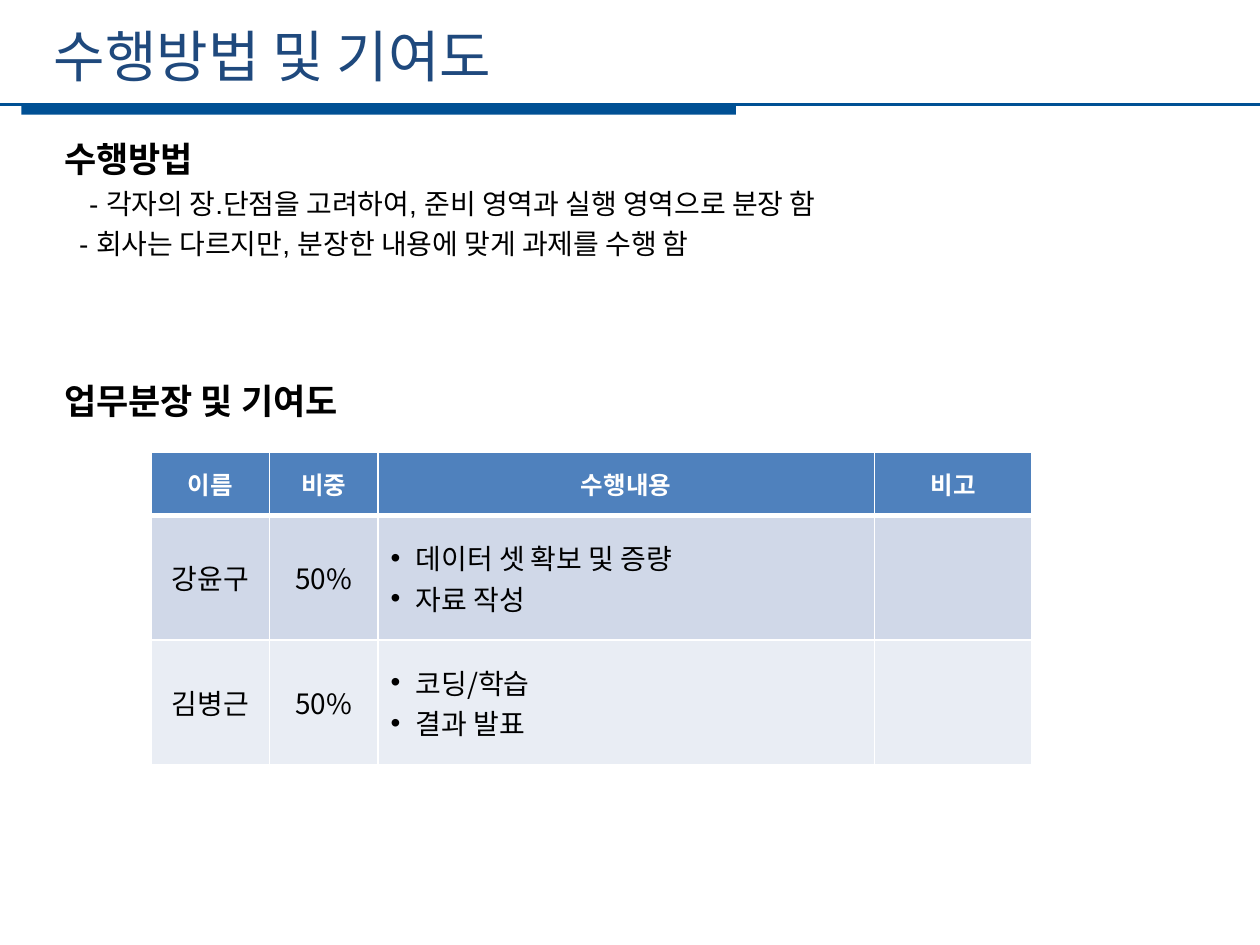
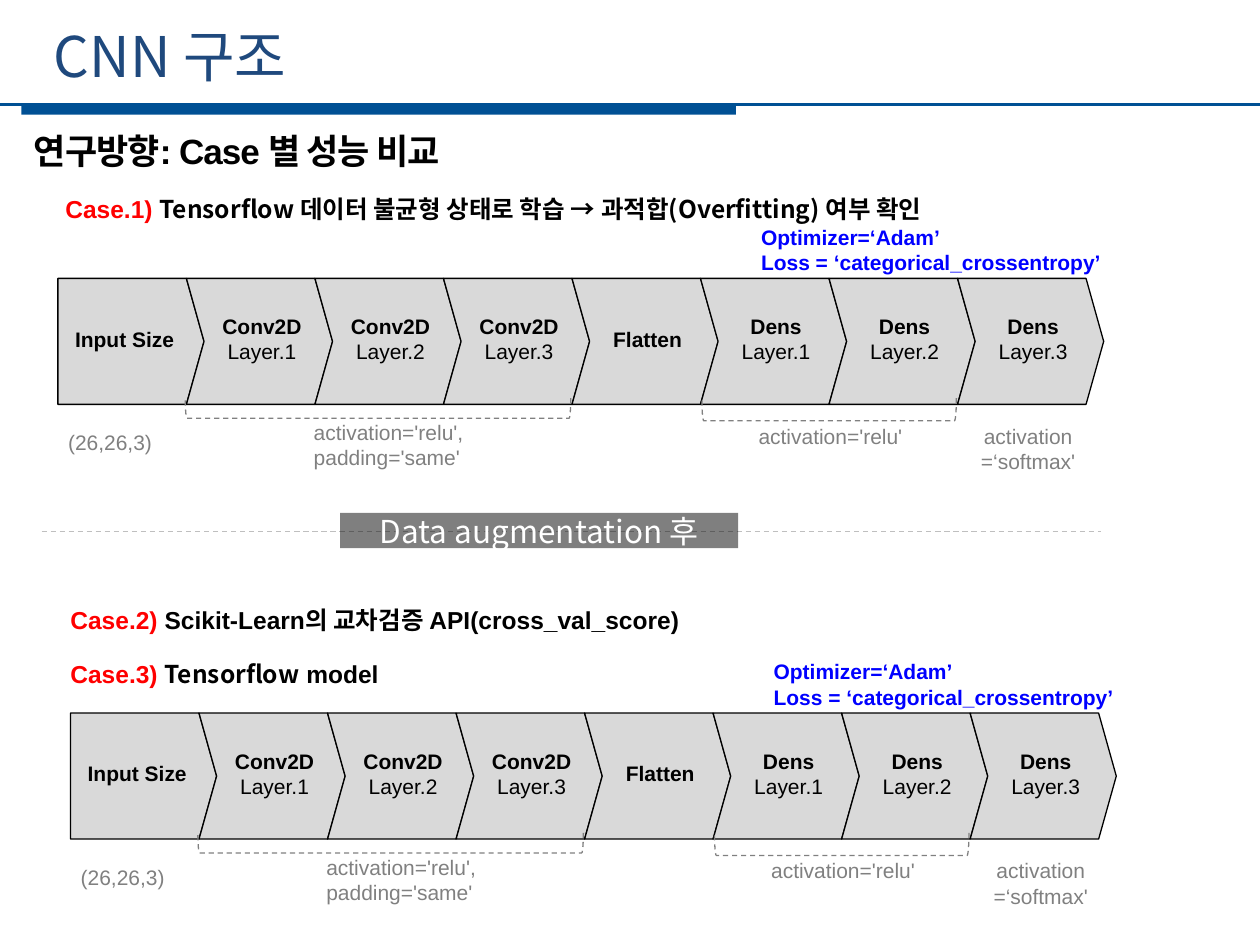
from lxml import etree
from pptx import Presentation
from pptx.dml.color import RGBColor
from pptx.enum.dml import MSO_LINE
from pptx.enum.shapes import MSO_CONNECTOR, MSO_SHAPE
from pptx.enum.text import MSO_ANCHOR, PP_ALIGN
from pptx.oxml import parse_xml
from pptx.oxml.ns import nsdecls, qn
from pptx.util import Inches, Pt

CENTER = PP_ALIGN.CENTER
MIDDLE = MSO_ANCHOR.MIDDLE
DASH = MSO_LINE.DASH
STRAIGHT = MSO_CONNECTOR.STRAIGHT
RECTANGLE = MSO_SHAPE.RECTANGLE
BRACKET = MSO_SHAPE.RIGHT_BRACKET

LATIN = "Arial"
KOREAN = "Noto Sans CJK KR"
HEX = {
    "band": "005094", "title": "1F497D", "text": "000000", "white": "FFFFFF",
    "header": "4F81BD", "odd": "D0D8E8", "even": "E9EDF4",
    "layer": "D9D9D9", "note": "808080", "case": "FF0000", "option": "0000FF",
    "divider": "BFBFBF",
}
COLOR = {name: RGBColor.from_string(value) for name, value in HEX.items()}

# Text formats
TITLE = {"size": Pt(32), "name": KOREAN, "color": "title"}
HEADING = {"size": Pt(20), "name": LATIN, "color": "text", "bold": True}
BODY = {"size": Pt(16), "name": LATIN, "color": "text"}
CASE = {"size": Pt(14), "name": LATIN, "color": "case", "bold": True}
CASE_LATIN = {**CASE, "color": "text"}
CASE_KOREAN = {**CASE_LATIN, "name": KOREAN}
NOTE = {"size": Pt(12), "name": LATIN, "color": "note"}
OPTION = {**NOTE, "color": "option", "bold": True}
LAYER_KIND = {**NOTE, "color": "text", "bold": True}
LAYER_NUMBER = {**NOTE, "color": "text"}
HEADER_CELL = {"size": Pt(14), "name": KOREAN, "color": "white", "bold": True}
BODY_CELL = {"size": Pt(16), "name": KOREAN, "color": "text", "bold": False}
DIVIDER = {"size": Pt(18), "name": KOREAN, "color": "white"}


def write(frame, lines, **paragraph_format):
    """Fill a text frame; each line is a list of (text, format) spans."""
    for index, spans in enumerate(lines):
        para = frame.paragraphs[0] if index == 0 else frame.add_paragraph()
        for name, value in paragraph_format.items():
            setattr(para, name, value)
        for text, text_format in spans:
            span = para.add_run()
            span.text = text
            for name, value in text_format.items():
                if name == "color":
                    span.font.color.rgb = COLOR[value]
                else:
                    setattr(span.font, name, value)
            east_asian = etree.SubElement(span.font._element, qn("a:ea"))
            east_asian.set("typeface", KOREAN)


def add_text(page, at, lines, inset=None, **paragraph_format):
    box = page.shapes.add_textbox(*map(Inches, at))
    frame = box.text_frame
    frame.word_wrap = True
    if inset is not None:
        for side in ("left", "top", "right", "bottom"):
            setattr(frame, f"margin_{side}", Inches(inset))
    write(frame, lines, **paragraph_format)
    return frame


deck = Presentation()
deck.slide_width, deck.slide_height = Inches(10), Inches(7.5)

# Shared title, band and rule
pages = []
for title in ("수행방법 및 기여도", "CNN 구조"):
    page = deck.slides.add_slide(deck.slide_layouts[6])
    band = page.shapes.add_shape(RECTANGLE, *map(Inches, (0.17, 0.83, 5.67, 0.08)))
    band.shadow.inherit = False
    band.fill.solid()
    band.fill.fore_color.rgb = COLOR["band"]
    band.line.fill.background()
    rule = page.shapes.add_connector(STRAIGHT, *map(Inches, (0, 0.83, 10, 0.83)))
    rule.line.color.rgb = COLOR["band"]
    rule.line.width = Pt(1.25)
    etree.SubElement(rule._element.spPr, qn("a:effectLst"))
    add_text(page, (0.33, 0.12, 8.96, 0.64), [[(title, TITLE)]])
    pages.append(page)
method_page, cnn_page = pages

# Method and work split
frame = add_text(method_page, (0.41, 1.06, 9.12, 2.36), [
    [("수행방법", HEADING)],
    [("- 각자의 장.단점을 고려하여, 준비 영역과 실행 영역으로 분장 함", BODY)],
    [("- 회사는 다르지만, 분장한 내용에 맞게 과제를 수행 함", BODY)],
    [("업무분장 및 기여도", HEADING)],
], line_spacing=Pt(23))
for para, indent in zip(frame.paragraphs[1:3], (0.2, 0.12)):
    para._p.get_or_add_pPr().set("marL", str(Inches(indent)))
frame.paragraphs[3].space_before = Pt(69)

# Contribution table
rows = [
    [["이름"], ["비중"], ["수행내용"], ["비고"]],
    [["강윤구"], ["50%"], ["데이터 셋 확보 및 증량", "자료 작성"], []],
    [["김병근"], ["50%"], ["코딩/학습", "결과 발표"], []],
]
table = method_page.shapes.add_table(
    3, 4, *map(Inches, (1.2, 3.59, 6.99, 2.48))).table
for column, width in zip(table.columns, (0.94, 0.86, 3.94, 1.25)):
    column.width = Inches(width)
for row, height in zip(table.rows, (0.5, 0.99, 0.99)):
    row.height = Inches(height)
for row_index, row in enumerate(rows):
    for column_index, texts in enumerate(row):
        cell = table.cell(row_index, column_index)
        cell.vertical_anchor = MIDDLE
        for side in "LRTB":
            thick = (row_index, side) in ((0, "B"), (1, "T"))
            cell._tc.get_or_add_tcPr().append(parse_xml(
                f'<a:ln{side} {nsdecls("a")} w="{Pt(3 if thick else 1)}"><a:solidFill>'
                f'<a:srgbClr val="{HEX["white"]}"/></a:solidFill></a:ln{side}>'))
        cell.fill.solid()
        cell.fill.fore_color.rgb = COLOR[("header", "odd", "even")[row_index]]
        cell_format = BODY_CELL if row_index else HEADER_CELL
        bulleted = len(texts) > 1
        write(cell.text_frame, [[(text, cell_format)] for text in texts],
              alignment=None if bulleted else CENTER)
        if bulleted:
            for para in cell.text_frame.paragraphs:
                properties = para._p.get_or_add_pPr()
                properties.set("marL", str(Inches(0.2)))
                properties.set("indent", str(Inches(-0.2)))
                etree.SubElement(properties, qn("a:buFont")).set("typeface", LATIN)
                etree.SubElement(properties, qn("a:buChar")).set("char", "•")

# Research direction and cases
frame = add_text(cnn_page, (0.17, 1.03, 9.52, 0.4),
                 [[("연구방향: Case 별 성능 비교", HEADING)]], line_spacing=Pt(20.4))
frame.paragraphs[0].runs[0].font._element.set("spc", "-60")
cases = [
    ((0.42, 1.39, 9.18, 0.44), [
        ("Case.1) ", CASE), ("Tensorflow ", CASE_KOREAN),
        ("데이터 불균형 상태로 학습 → ", CASE_LATIN),
        ("과적합(Overfitting) 여부 확인", CASE_KOREAN)]),
    ((0.46, 4.65, 5.45, 0.44), [
        ("Case.2) ", CASE),
        ("Scikit-Learn의 교차검증 API(cross_val_score)", CASE_LATIN)]),
    ((0.46, 5.08, 5.45, 0.44), [
        ("Case.3) ", CASE), ("Tensorflow", CASE_KOREAN), (" model", CASE_LATIN)]),
]
for at, spans in cases:
    add_text(cnn_page, at, [spans], line_spacing=Pt(24.1))

# Two network diagrams, placed from their top left corner
layers = [
    ["Input Size"], ["Conv2D", "Layer.1"], ["Conv2D", "Layer.2"],
    ["Conv2D", "Layer.3"], ["Flatten"], ["Dens", "Layer.1"],
    ["Dens", "Layer.2"], ["Dens", "Layer.3"],
]
PITCH, TIP, HEIGHT = 1.02, 0.14, 1
notes = [
    ((0.08, 1.2, 0.92, 0.2), ["(26,26,3)"], NOTE, None),
    ((2.03, 1.12, 1.46, 0.4), ["activation='relu', padding='same'"], NOTE, None),
    ((5.56, 1.15, 1.49, 0.2), ["activation='relu'"], NOTE, None),
    ((7.21, 1.15, 0.98, 0.4), ["activation", "=‘softmax'"], NOTE, CENTER),
    ((5.58, -0.43, 3.56, 0.4),
     ["Optimizer=‘Adam’", "Loss = ‘categorical_crossentropy’"], OPTION, None),
]
brackets = [(2.46, -0.5, 0.16, 3.06), (6.03, 0.03, 0.18, 2.02)]
for left, top in ((0.46, 2.21), (0.56, 5.66)):
    for index, words in enumerate(layers):
        start = left + index * PITCH
        notch = TIP if index else 0
        outline = [
            (start, top), (start + PITCH, top),
            (start + PITCH + TIP, top + HEIGHT / 2),
            (start + PITCH, top + HEIGHT), (start, top + HEIGHT),
            (start + notch, top + HEIGHT / 2),
        ]
        points = [(Inches(x), Inches(y)) for x, y in outline]
        builder = cnn_page.shapes.build_freeform(*points[0])
        builder.add_line_segments(points[1:], close=True)
        layer = builder.convert_to_shape()
        layer.shadow.inherit = False
        layer.fill.solid()
        layer.fill.fore_color.rgb = COLOR["layer"]
        layer.line.color.rgb = COLOR["text"]
        layer.line.width = Pt(0.75)
        frame = layer.text_frame
        frame.word_wrap = True
        frame.vertical_anchor = MIDDLE
        margins = {"left": notch + 0.04, "right": TIP, "top": 0, "bottom": 0.04}
        for side, margin in margins.items():
            setattr(frame, f"margin_{side}", Inches(margin))
        write(frame, [[pair] for pair in zip(words, (LAYER_KIND, LAYER_NUMBER))],
              alignment=CENTER)

    for (x, y, width, height), texts, text_format, alignment in notes:
        add_text(cnn_page, (left + x, top + y, width, height),
                 [[(text, text_format)] for text in texts],
                 inset=0, alignment=alignment)

    for x, y, width, height in brackets:
        bracket = cnn_page.shapes.add_shape(
            BRACKET, *map(Inches, (left + x, top + y, width, height)))
        bracket.rotation = 90
        bracket.shadow.inherit = False
        bracket.fill.background()
        bracket.line.color.rgb = COLOR["note"]
        bracket.line.width = Pt(0.75)
        bracket.line.dash_style = DASH

# Divider between the cases
divider = cnn_page.shapes.add_connector(
    STRAIGHT, *map(Inches, (0.33, 4.22, 8.74, 4.22)))
divider.line.color.rgb = COLOR["divider"]
divider.line.width = Pt(0.75)
divider.line.dash_style = DASH
etree.SubElement(divider._element.spPr, qn("a:effectLst"))
label = cnn_page.shapes.add_shape(RECTANGLE, *map(Inches, (2.7, 4.07, 3.16, 0.28)))
label.shadow.inherit = False
label.fill.solid()
label.fill.fore_color.rgb = COLOR["text"]
fill_color = label._element.spPr.find(qn("a:solidFill"))[0]
etree.SubElement(fill_color, qn("a:alpha")).set("val", "50000")
label.line.fill.background()
label.text_frame.vertical_anchor = MIDDLE
write(label.text_frame, [[("Data augmentation 후", DIVIDER)]], alignment=CENTER)

deck.save("out.pptx")
